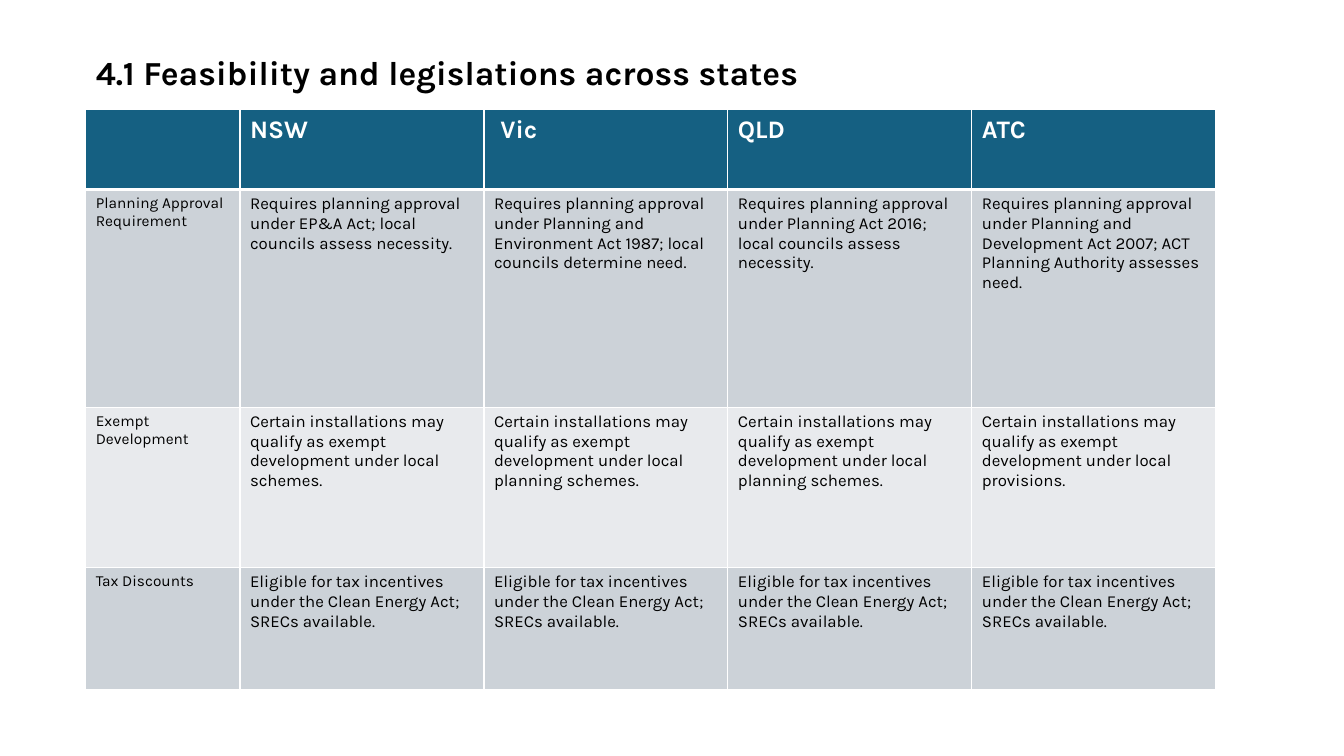
from dataclasses import dataclass

from lxml.etree import SubElement
from pptx import Presentation
from pptx.dml.color import RGBColor
from pptx.enum.text import MSO_ANCHOR, PP_ALIGN
from pptx.oxml.ns import qn
from pptx.util import Inches, Pt

FONT = "Karla"
BLACK = RGBColor(0x00, 0x00, 0x00)
WHITE = RGBColor(0xFF, 0xFF, 0xFF)
TEAL = RGBColor(0x15, 0x60, 0x82)
GREY = RGBColor(0xCC, 0xD2, 0xD8)
PALE = RGBColor(0xE8, 0xEA, 0xED)

LEFT, TABLE_TOP = 0.85, 1.09
LABEL_WIDTH, STATE_WIDTH = 1.53, 2.42


@dataclass
class Row:
    height: float
    fill: RGBColor
    label: str
    texts: list[str]


APPROVAL = "Requires planning approval under "
EXEMPT = "Certain installations may qualify as exempt development under local "
TAX = "Eligible for tax incentives under the Clean Energy Act; SRECs available."

ROWS = [
    Row(0.79, TEAL, "", ["NSW", " Vic", "QLD", "ATC"]),
    Row(2.16, GREY, "Planning Approval Requirement", [
        APPROVAL + "EP&A Act; local councils assess necessity.",
        APPROVAL + "Planning and Environment Act 1987; local councils determine need.",
        APPROVAL + "Planning Act 2016; local councils assess necessity.",
        APPROVAL + "Planning and Development Act 2007; ACT Planning Authority assesses need.",
    ]),
    Row(1.59, PALE, "Exempt Development", [
        EXEMPT + "schemes.",
        EXEMPT + "planning schemes.",
        EXEMPT + "planning schemes.",
        EXEMPT + "provisions.",
    ]),
    Row(1.21, GREY, "Tax Discounts", [TAX] * 4),
]


def write(tf, text: str, *, size: float, color: RGBColor = BLACK, bold: bool = False) -> None:
    p = tf.paragraphs[0]
    p.alignment = PP_ALIGN.LEFT
    p.line_spacing = 1.0
    p.font.size = Pt(size)
    if text:
        r = p.add_run()
        r.text = text
        r.font.name, r.font.size, r.font.bold = FONT, Pt(size), bold
        r.font.color.rgb = color


def add_borders(cell, *, top: float = 1, bottom: float = 1) -> None:
    tc_pr = cell._tc.get_or_add_tcPr()
    for side, width in (("L", 1), ("R", 1), ("T", top), ("B", bottom)):
        ln = SubElement(tc_pr, qn(f"a:ln{side}"), w=str(Pt(width)))
        SubElement(SubElement(ln, qn("a:solidFill")), qn("a:srgbClr"), val=str(WHITE))


def add_title(s, text: str) -> None:
    sp = s.shapes.title
    sp.left, sp.top = Inches(LEFT), Inches(0.15)
    sp.width, sp.height = Inches(11.88), Inches(1.11)
    tf = sp.text_frame
    tf.word_wrap = True
    tf.vertical_anchor = MSO_ANCHOR.TOP
    tf.margin_top = Inches(0.36)
    write(tf, text, size=24, bold=True)


def add_state_table(s, rows: list[Row]) -> None:
    widths = [LABEL_WIDTH] + [STATE_WIDTH] * len(rows[0].texts)
    table = s.shapes.add_table(
        len(rows), len(widths), Inches(LEFT), Inches(TABLE_TOP),
        Inches(sum(widths)), Inches(sum(row.height for row in rows)),
    ).table
    for column, width in zip(table.columns, widths):
        column.width = Inches(width)

    for i, row in enumerate(rows):
        table.rows[i].height = Inches(row.height)
        header = i == 0
        for j, text in enumerate([row.label] + row.texts):
            cell = table.cell(i, j)
            # The rule under the header is heavier than the others
            add_borders(cell, top=3 if i == 1 else 1, bottom=3 if header else 1)
            cell.fill.solid()
            cell.fill.fore_color.rgb = row.fill
            size = 18 if header else 11 if j == 0 else 12
            write(cell.text_frame, text, size=size,
                  color=WHITE if header else BLACK, bold=header)


def main() -> None:
    prs = Presentation()
    prs.slide_width, prs.slide_height = Inches(13.33), Inches(7.5)
    s = prs.slides.add_slide(prs.slide_layouts[5])

    # Title
    add_title(s, "4.1 Feasibility and legislations across states")

    # Comparison of states
    add_state_table(s, ROWS)

    prs.save("out.pptx")


if __name__ == "__main__":
    main()
